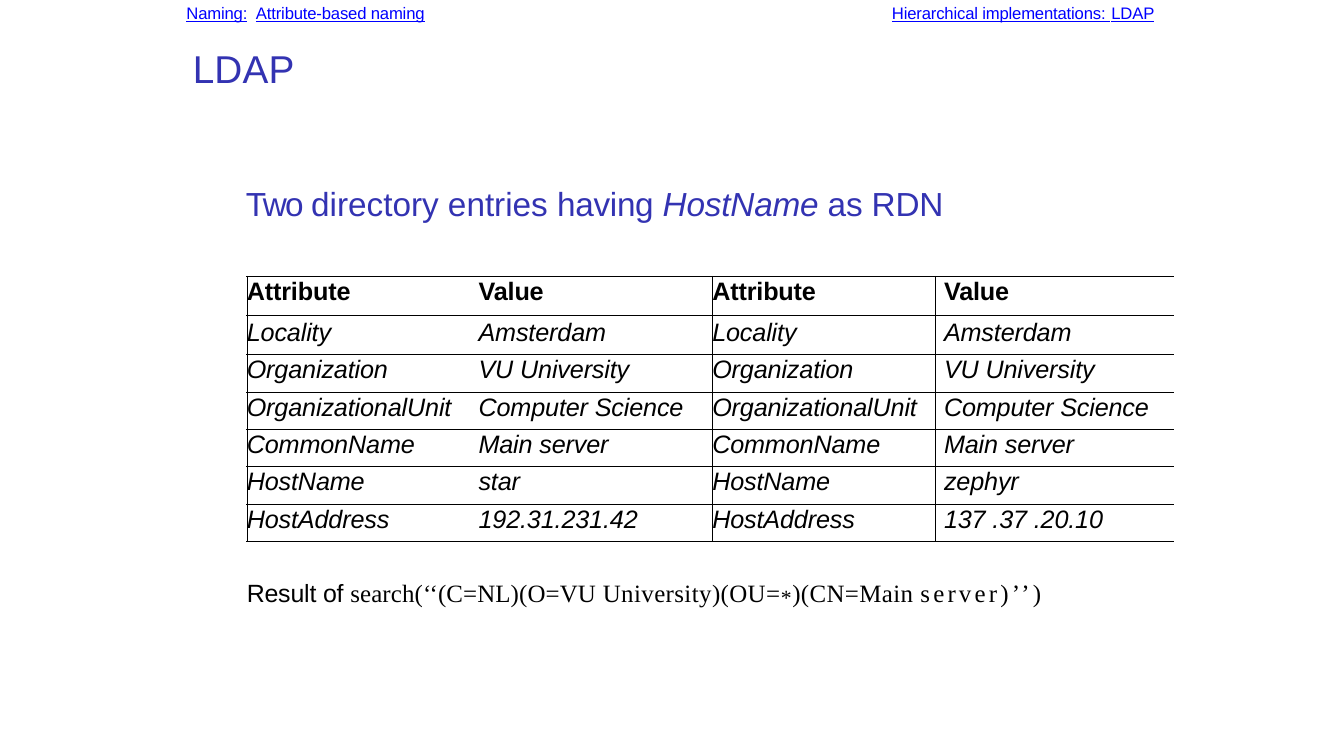
from lxml import etree
from pptx import Presentation
from pptx import util as u
from pptx.dml.color import RGBColor
from pptx.enum import text
from pptx.oxml import ns

BLUE, LINK, BLACK = "3333B2", "0000FF", "000000"
ROWS = [
    ("Attribute", "Value", "Value"),
    ("Locality", "Amsterdam", "Amsterdam"),
    ("Organization", "VU University", "VU University"),
    ("OrganizationalUnit", "Computer Science", "Computer Science"),
    ("CommonName", "Main server", "Main server"),
    ("HostName", "star", "zephyr"),
    ("HostAddress", "192.31.231.42", "137 .37 .20.10"),
]
WIDTHS = (5.61, 6.12, 5.61, 6.02)


def paint(font, color):
    font.color.rgb = RGBColor.from_string(color)


def add_run(para, words, size, color=BLACK, space=0, base=0, **style):
    run = para.add_run()
    run.text = words
    form = {"name": "Arial", "size": u.Pt(size), **style}
    for key, value in form.items():
        setattr(run.font, key, value)
    paint(run.font, color)
    props = run.font._element
    props.set("spc", str(round(space * 100)))
    if base:
        props.set("baseline", str(base * 1000))


def indent(para, left, before):
    para.alignment = text.PP_ALIGN.LEFT
    para.space_before = u.Pt(before)
    props = para._p.get_or_add_pPr()
    props.set("marL", str(u.Cm(left)))
    props.set("indent", "0")


def add_box(slide, left, top, width, height, inset=0.08):
    box = slide.shapes.add_textbox(*map(u.Cm, (left, top, width, height)))
    frame = box.text_frame
    form = {"margin_left": 0, "margin_right": 0, "margin_bottom": 0,
            "margin_top": u.Cm(inset), "word_wrap": True,
            "auto_size": text.MSO_AUTO_SIZE.SHAPE_TO_FIT_TEXT}
    for key, value in form.items():
        setattr(frame, key, value)
    return frame


def add_links(slide, left, width, first, gap, last):
    para = add_box(slide, left, 0, width, 0.58).paragraphs[0]
    indent(para, 0.08, 1.9)
    add_run(para, first, 11.9, LINK, -0.1, underline=True)
    add_run(para, " ", 11.9, LINK, gap, underline=gap < 1)
    add_run(para, last, 11.9, LINK, -0.1, underline=True)


def add_head(slide):
    frame = add_box(slide, 4.78, 1.04, 19.23, 4.57, 0.1)
    para = frame.paragraphs[0]
    indent(para, 0.08, 2.7)
    add_run(para, "LDAP", 27.7, BLUE, 0.1)
    para = frame.add_paragraph()
    indent(para, 1.42, 65.5)
    add_run(para, "Two ", 23.8, BLUE, -1.2)
    add_run(para, "directory entries ", 23.8, BLUE)
    add_run(para, "having ", 23.8, BLUE, -0.2)
    add_run(para, "HostName ", 23.8, BLUE, -0.1, italic=True)
    add_run(para, "as RDN", 23.8, BLUE, -0.1)


def add_edge(props, side, width):
    edge = etree.SubElement(props, ns.qn("a:ln" + side), w=str(u.Pt(width)))
    if not width:
        etree.SubElement(edge, ns.qn("a:noFill"))
        return
    fill = etree.SubElement(edge, ns.qn("a:solidFill"))
    etree.SubElement(fill, ns.qn("a:srgbClr"), val=BLACK)


def fill_cell(cell, words, row, col):
    body = row == 1
    form = {"margin_left": 0, "margin_right": 0, "margin_bottom": 0,
            "margin_top": u.Cm(0.08 if body else 0.03)}
    for key, value in form.items():
        setattr(cell, key, value)
    para = cell.text_frame.paragraphs[0]
    indent(para, 0.23 * (col % 2), 0.9 if body else 0.4)
    add_run(para, words, 18, space=-0.1, bold=row == 0, italic=row > 0)
    props = cell._tc.get_or_add_tcPr()
    edges = {"L": 0 if col == 1 else 0.5, "R": 0.5 if col in (1, 2) else 0,
             "T": 1.5 if row == 1 else 0.5, "B": 1.5 if row == 0 else 0.5}
    for side, width in edges.items():
        add_edge(props, side, width)
    cell.fill.background()


def add_grid(slide):
    size = map(u.Cm, (6.22, 6.96, sum(WIDTHS), 6.68))
    grid = slide.shapes.add_table(len(ROWS), len(WIDTHS), *size).table
    grid.first_row = grid.horz_banding = False
    for col, width in enumerate(WIDTHS):
        grid.columns[col].width = u.Cm(width)
    for row, (name, left, right) in enumerate(ROWS):
        grid.rows[row].height = u.Cm(0.99 if row < 2 else 0.94)
        for col, words in enumerate((name, left, name, right)):
            fill_cell(grid.cell(row, col), words, row, col)


def add_query(slide):
    para = add_box(slide, 6.02, 14.15, 21.18, 0.84).paragraphs[0]
    indent(para, 0.2, 1.9)
    add_run(para, "Result of ", 17.8, space=-0.1)
    serif = {"name": "Times New Roman"}
    add_run(para, "search(‘‘(C=NL)(O=VU ", 17.8, space=0.1, **serif)
    add_run(para, "University)(OU=", 17.8, space=0.3, **serif)
    add_run(para, "*", 26.8, space=0.4, base=-9, **serif)
    add_run(para, ")(CN=Main ", 17.8, space=0.3, **serif)
    add_run(para, "server)’’)", 17.8, space=2.3, **serif)


def main():
    deck = Presentation()
    deck.slide_width, deck.slide_height = u.Cm(33.87), u.Cm(19.05)
    slide = deck.slides.add_slide(deck.slide_layouts[6])
    add_links(slide, 4.62, 6.22, "Naming:", 2.8, "Attribute-based naming")
    add_links(slide, 22.4, 6.83, "Hierarchical implementations:", 0.8, "LDAP")
    add_head(slide)
    add_grid(slide)
    add_query(slide)
    deck.save("out.pptx")


if __name__ == "__main__":
    main()
